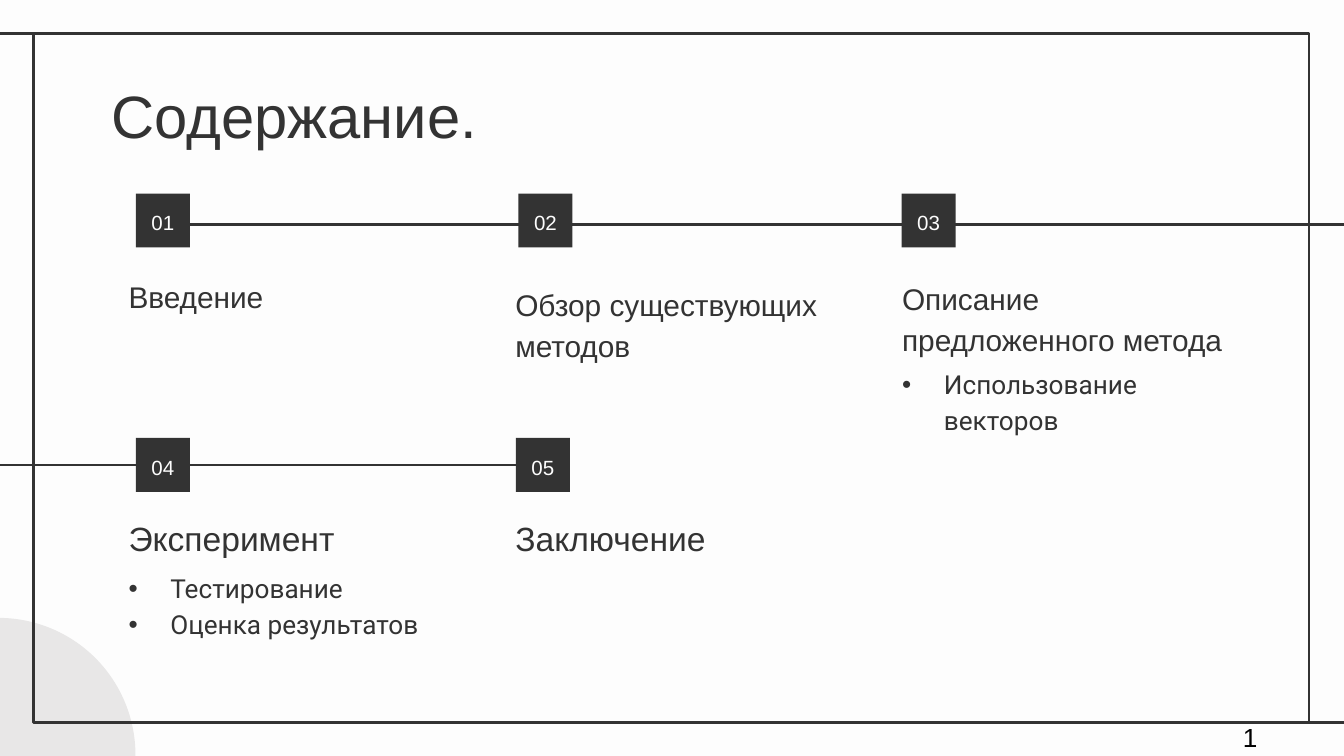
import pptx
import pptx.util
import pptx.dml.color
import pptx.enum.shapes
import pptx.enum.text
import pptx.oxml.xmlchemy

Cm, Pt = pptx.util.Cm, pptx.util.Pt
Node = pptx.oxml.xmlchemy.OxmlElement
Shape = pptx.enum.shapes.MSO_SHAPE
Anchor = pptx.enum.text.MSO_ANCHOR
Align = pptx.enum.text.PP_ALIGN

DARK, PALE, GREY = "333333", "FDFDFD", "E8E7E7"
WIDE, HIGH = 25.4, 14.29
EDGE, RIGHT, BASE = 0.64, 24.74, 13.66  # frame sides
SIDE = 1.02  # number square
INDENT = 0.79


def color(code):
    return pptx.dml.color.RGBColor.from_string(code)


def add_line(slide, x1, y1, x2, y2):
    line = slide.shapes.add_connector(
        pptx.enum.shapes.MSO_CONNECTOR.STRAIGHT, Cm(x1), Cm(y1), Cm(x2), Cm(y2))
    line.line.color.rgb = color(DARK)
    line.line.width = Pt(1.5)
    line._element.spPr.append(Node("a:effectLst"))


def add_form(slide, kind, x, y, w, h, fill=None):
    form = slide.shapes.add_shape(kind, Cm(x), Cm(y), Cm(w), Cm(h))
    form.shadow.inherit = False
    if fill:
        form.fill.solid()
        form.fill.fore_color.rgb = color(fill)
        form.line.fill.background()
    else:
        form.fill.background()
        form.line.color.rgb = color(DARK)
        form.line.width = Pt(1.5)
    return form


def set_text(shape, text, size, font="Arial", ink=DARK, anchor=Anchor.TOP,
             align=Align.LEFT, space=1.15, inset=0.25):
    frame = shape.text_frame
    frame.text = text
    frame.word_wrap = True
    frame.auto_size = pptx.enum.text.MSO_AUTO_SIZE.NONE
    frame.vertical_anchor = anchor
    frame.margin_left = frame.margin_right = Cm(0.25)
    frame.margin_top = frame.margin_bottom = Cm(inset)
    for para in frame.paragraphs:
        para.alignment = align
        para.line_spacing = space
        for run in para.runs:
            run.font.size = Pt(size)
            run.font.name = font
            run.font.color.rgb = color(ink)


def add_label(slide, text, x, y, w, h, size, **style):
    box = slide.shapes.add_textbox(Cm(x), Cm(y), Cm(w), Cm(h))
    set_text(box, text, size, **style)
    return box


def add_list(slide, text, x, y):
    box = add_label(slide, text, x, y, 6.4, 1.6, 14, font="Roboto")
    for para in box.text_frame.paragraphs:
        props = para._p.get_or_add_pPr()
        props.set("marL", str(Cm(INDENT)))
        props.set("indent", str(-Cm(INDENT)))
        tint = Node("a:buClr")
        rgb = Node("a:srgbClr")
        rgb.set("val", DARK)
        tint.append(rgb)
        face = Node("a:buFont")
        face.set("typeface", "Arial")
        mark = Node("a:buChar")
        mark.set("char", "•")
        for part in (tint, face, mark):
            props.append(part)


def add_number(slide, text, x, y):
    box = add_form(slide, Shape.RECTANGLE, x, y, SIDE, SIDE, DARK)
    set_text(box, text, 11, ink=PALE, anchor=Anchor.MIDDLE, align=Align.CENTER)


def add_title(slide, text):
    title = slide.shapes.title
    title.left, title.top = Cm(1.85), Cm(1.24)
    title.width, title.height = Cm(21.41), Cm(1.6)
    set_text(title, text, 32, space=1.0)


def main():
    deck = pptx.Presentation()
    deck.slide_width, deck.slide_height = Cm(WIDE), Cm(HIGH)
    slide = deck.slides.add_slide(deck.slide_layouts[5])
    slide.background.fill.solid()
    slide.background.fill.fore_color.rgb = color(PALE)

    # Corner disc and frame
    add_form(slide, Shape.OVAL, -2.62, 11.68, 5.18, 5.18, GREY)
    add_form(slide, Shape.RECTANGLE, EDGE, EDGE, RIGHT - EDGE, BASE - EDGE)
    add_line(slide, EDGE, EDGE, 0, EDGE)
    add_line(slide, WIDE, BASE, RIGHT, BASE)

    # Timelines behind the numbers
    add_line(slide, 10.08, 8.79, 0, 8.79)
    add_line(slide, 3.58, 4.24, WIDE, 4.24)

    add_title(slide, "Содержание.")

    # Sections: number left and top, heading top, width and size
    items = [
        ("Введение", 2.57, 3.66, 5.13, 6.4, 16),
        ("Обзор существующих\nметодов", 9.8, 3.66, 6.05, 6.4, 16),
        ("Описание предложенного метода", 17.04, 3.66, 5.94, 7.06, 16),
        ("Эксперимент", 2.57, 8.28, 9.73, 6.4, 18),
        ("Заключение", 9.75, 8.28, 9.73, 6.4, 18),
    ]
    for i, (text, x, y, top, wide, size) in enumerate(items):
        add_number(slide, f"{i + 1:02}", x, y)
        left = 2.18 + i % 3 * 7.31
        add_label(slide, text, left, top, wide, 1.07, size, anchor=Anchor.BOTTOM)

    # Bulleted details
    add_list(slide, "Использование векторов", 16.8, 6.63)
    add_list(slide, "Тестирование\nОценка результатов", 2.18, 10.49)

    # Page number
    add_label(slide, "1", 23.24, 13.51, 2.1, 0.76, 14, ink="000000",
              space=1.0, inset=0.13)

    deck.save("out.pptx")


if __name__ == "__main__":
    main()
